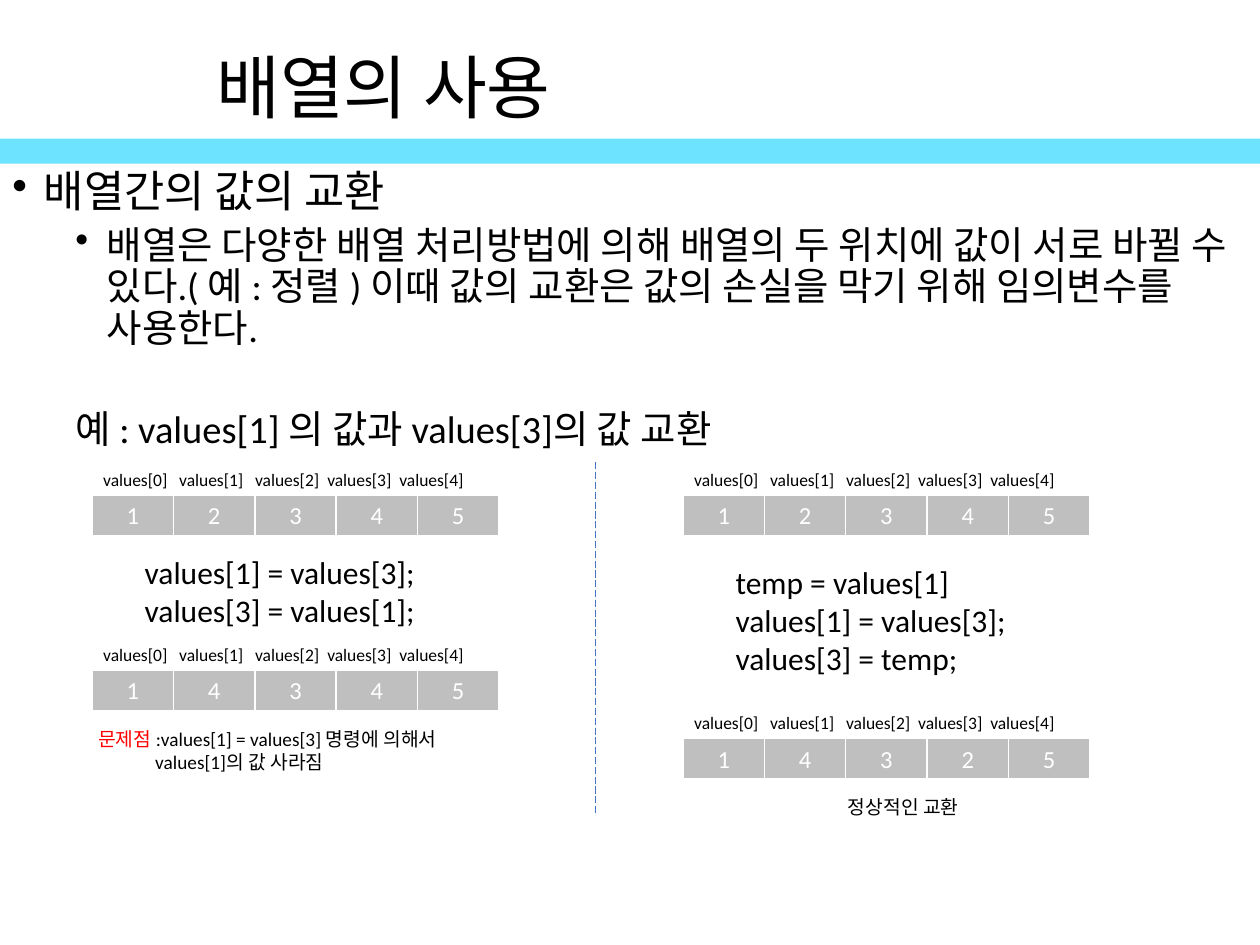
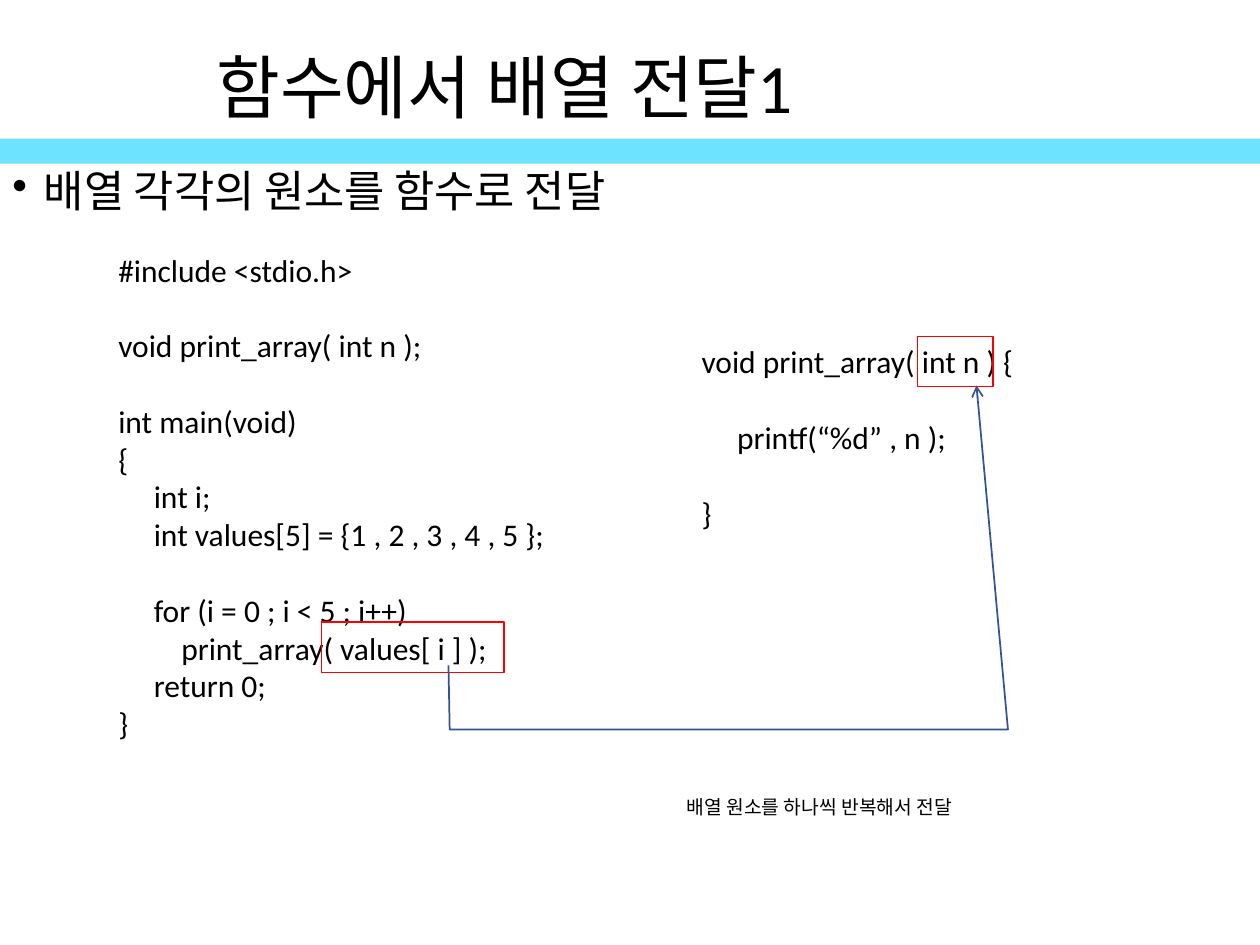
from dataclasses import dataclass

from lxml.etree import SubElement
from pptx import Presentation
from pptx.dml.color import RGBColor
from pptx.enum.dml import MSO_LINE
from pptx.enum.shapes import MSO_CONNECTOR, MSO_SHAPE
from pptx.enum.text import MSO_ANCHOR, PP_ALIGN
from pptx.oxml.ns import qn
from pptx.util import Pt


@dataclass(frozen=True)
class Theme:
    font: str = "Calibri"
    text: str = "000000"
    band: str = "6DE3FF"
    cell: str = "BFBFBF"
    light: str = "FFFFFF"
    alert: str = "FF0000"
    divider: str = "4472C4"
    arrow: str = "325491"
    title_size: float = 39.6
    topic_size: float = 25
    detail_size: float = 22
    code_size: float = 18
    cell_size: float = 14
    note_size: float = 11
    index_size: float = 10
    code_line: float = 21.6


class Deck:
    """Holds the theme and the current slide, and draws each kind of element."""

    def __init__(self, theme):
        self.theme = theme
        self.presentation = Presentation()
        self.presentation.slide_width = Pt(720)
        self.presentation.slide_height = Pt(540)
        self.slide = None

    # Shared slide frame
    def new_slide(self, title):
        self.slide = self.presentation.slides.add_slide(self.presentation.slide_layouts[6])
        band = self.rectangle(0, 79.2, 720, 14.4)
        band.fill.solid()
        band.fill.fore_color.rgb = RGBColor.from_string(self.theme.band)
        band.line.fill.background()
        frame = self.text(116.6, 25.2, 553.7, 54, [title], self.theme.title_size)
        frame.vertical_anchor = MSO_ANCHOR.MIDDLE
        frame.paragraphs[0].line_spacing = 0.9

    # Text
    def style_runs(self, paragraph, size, color=None):
        for run in paragraph.runs:
            run.font.name = self.theme.font
            run.font.size = Pt(size)
            run.font.color.rgb = RGBColor.from_string(color or self.theme.text)

    def text(self, left, top, width, height, lines, size):
        box = self.slide.shapes.add_textbox(Pt(left), Pt(top), Pt(width), Pt(height))
        frame = box.text_frame
        frame.word_wrap = True
        frame.text = "\n".join(lines)
        for paragraph in frame.paragraphs:
            self.style_runs(paragraph, size)
        return frame

    def indent(self, paragraph, margin, first_line=0):
        properties = paragraph._p.get_or_add_pPr()
        properties.set("marL", str(Pt(margin)))
        properties.set("indent", str(Pt(first_line)))
        return properties

    def tab_stops(self, paragraph, positions):
        tabs = SubElement(paragraph._p.get_or_add_pPr(), qn("a:tabLst"))
        for position in positions:
            SubElement(tabs, qn("a:tab"), pos=str(Pt(position)), algn="l")

    def body(self, items):
        """Each item is text, level, bullet flag and space before."""
        frame = self.text(0, 93.6, 720, 393.1, [item[0] for item in items],
                          self.theme.detail_size)
        for paragraph, (_, level, bulleted, space) in zip(frame.paragraphs, items):
            properties = self.indent(paragraph, 18 + 36 * level, -18)
            if bulleted:
                SubElement(properties, qn("a:buChar"), char="•")
            paragraph.line_spacing = 0.9
            paragraph.space_before = Pt(space)
            if level == 0:
                self.style_runs(paragraph, self.theme.topic_size)

    def code(self, left, top, width, height, source):
        """Blank source lines become space before the next line."""
        lines = source.split("\n")
        frame = self.text(left, top, width, height, [line for line in lines if line],
                          self.theme.code_size)
        after_gap = [not before for before, line in zip(["#"] + lines, lines) if line]
        for paragraph, gap in zip(frame.paragraphs, after_gap):
            self.tab_stops(paragraph, [36])
            if gap:
                paragraph.space_before = Pt(self.theme.code_line)

    # Array drawn as a one-row table under its index labels
    def array(self, left, top, values):
        labels = "\t".join(f"values[{index}]" for index in range(len(values)))
        frame = self.text(left - 0.7, top - 18.7, 259, 19.4, [labels], self.theme.index_size)
        self.tab_stops(frame.paragraphs[0], [43.4, 86.8, 128, 169.2])
        table = self.slide.shapes.add_table(
            1, len(values), Pt(left), Pt(top), Pt(46.5 * len(values)), Pt(23.8)).table
        table.first_row = table.horz_banding = False
        for column, value in enumerate(values):
            table.columns[column].width = Pt(46.5)
            self.array_cell(table.cell(0, column), value)

    def array_cell(self, cell, value):
        cell.text = str(value)
        cell.vertical_anchor = MSO_ANCHOR.MIDDLE
        paragraph = cell.text_frame.paragraphs[0]
        paragraph.alignment = PP_ALIGN.CENTER
        self.style_runs(paragraph, self.theme.cell_size, self.theme.light)
        properties = cell._tc.get_or_add_tcPr()
        for side, width in (("lnL", 1), ("lnR", 1), ("lnT", 1), ("lnB", 3)):
            border = SubElement(properties, qn(f"a:{side}"), w=str(Pt(width)))
            fill = SubElement(border, qn("a:solidFill"))
            SubElement(fill, qn("a:srgbClr"), val=self.theme.light)
        cell.fill.solid()
        cell.fill.fore_color.rgb = RGBColor.from_string(self.theme.cell)

    # Shapes and lines
    def style_line(self, line, color, width):
        line.color.rgb = RGBColor.from_string(color)
        line.width = Pt(width)

    def rectangle(self, left, top, width, height):
        shape = self.slide.shapes.add_shape(
            MSO_SHAPE.RECTANGLE, Pt(left), Pt(top), Pt(width), Pt(height))
        shape.shadow.inherit = False
        return shape

    def highlight(self, left, top, width, height):
        shape = self.rectangle(left, top, width, height)
        shape.fill.background()
        self.style_line(shape.line, self.theme.alert, 0.75)

    def divider(self, x, top, bottom):
        connector = self.slide.shapes.add_connector(
            MSO_CONNECTOR.STRAIGHT, Pt(x), Pt(top), Pt(x), Pt(bottom))
        self.style_line(connector.line, self.theme.divider, 0.5)
        connector.line.dash_style = MSO_LINE.LONG_DASH
        SubElement(connector._element.spPr, qn("a:effectLst"))

    def arrow(self, points):
        start, *corners = [(Pt(x), Pt(y)) for x, y in points]
        builder = self.slide.shapes.build_freeform(*start)
        builder.add_line_segments(corners, close=False)
        shape = builder.convert_to_shape()
        shape.shadow.inherit = False
        shape.fill.background()
        self.style_line(shape.line, self.theme.arrow, 1)
        SubElement(shape.line._get_or_add_ln(), qn("a:tailEnd"), type="arrow")


MAIN_CODE = """#include <stdio.h>

void print_array( int n );

int main(void)
{
     int i;
     int values[5] = {1 , 2 , 3 , 4 , 5 };

     for (i = 0 ; i < 5 ; i++)
\tprint_array( values[ i ] );
     return 0;
}"""

FUNCTION_CODE = """void print_array( int n ) {

     printf(“%d” , n );

}"""


def add_swap_slide(deck):
    theme = deck.theme
    deck.new_slide("배열의 사용")
    deck.body([
        ("배열간의 값의 교환", 0, True, 0),
        ("배열은 다양한 배열 처리방법에 의해 배열의 두 위치에 값이 서로 바뀔 수 있다."
         "( 예 : 정렬 ) 이때 값의 교환은 값의 손실을 막기 위해 임의변수를 사용한다.", 1, True, 5),
        ("예 : values[1] 의 값과 values[3]의 값 교환", 1, False, 34),
    ])
    left_panel, right_panel, first_row = 52.6, 390.3, 283

    # Swap that loses a value
    deck.array(left_panel, first_row, [1, 2, 3, 4, 5])
    deck.code(75.6, 312.5, 187, 51, "values[1] = values[3];\nvalues[3] = values[1];")
    deck.array(left_panel, 383, [1, 4, 3, 4, 5])
    frame = deck.text(49, 411.8, 228, 34, ["문제점 ", "values[1]의 값 사라짐"], theme.note_size)
    problem, result = frame.paragraphs
    problem.add_run().text = ":values[1] = values[3] 명령에 의해서"
    deck.style_runs(problem, theme.note_size)
    problem.runs[0].font.color.rgb = RGBColor.from_string(theme.alert)
    deck.indent(result, 32.6)

    # Swap through a temporary variable
    deck.array(right_panel, first_row, [1, 2, 3, 4, 5])
    deck.code(413.3, 318.2, 186, 73, "temp = values[1]\nvalues[1] = values[3];\nvalues[3] = temp;")
    deck.array(right_panel, 422, [1, 4, 3, 2, 5])
    deck.text(477.4, 450.7, 84.2, 20.9, ["정상적인 교환"], theme.note_size)

    deck.divider(340, 264.2, 465)


def add_function_slide(deck):
    deck.new_slide("함수에서 배열 전달1")
    deck.body([("배열 각각의 원소를 함수로 전달", 0, True, 0)])

    # Caller and called function
    deck.code(60.5, 139.7, 315.4, 347, MAIN_CODE)
    deck.highlight(183.6, 355.5, 104.4, 28.8)
    deck.code(393.8, 192.2, 224.6, 139, FUNCTION_CODE)

    # Argument passed to the parameter
    deck.arrow([(256.3, 380.2), (257, 416.9), (576, 416.9), (558, 220.3)])
    deck.text(385.2, 450.7, 197.3, 24.5, ["배열 원소를 하나씩 반복해서 전달"], deck.theme.note_size)
    deck.highlight(524.2, 192.2, 43.2, 28.8)


def main():
    deck = Deck(Theme())
    add_swap_slide(deck)
    add_function_slide(deck)
    deck.presentation.save("out.pptx")


if __name__ == "__main__":
    main()
